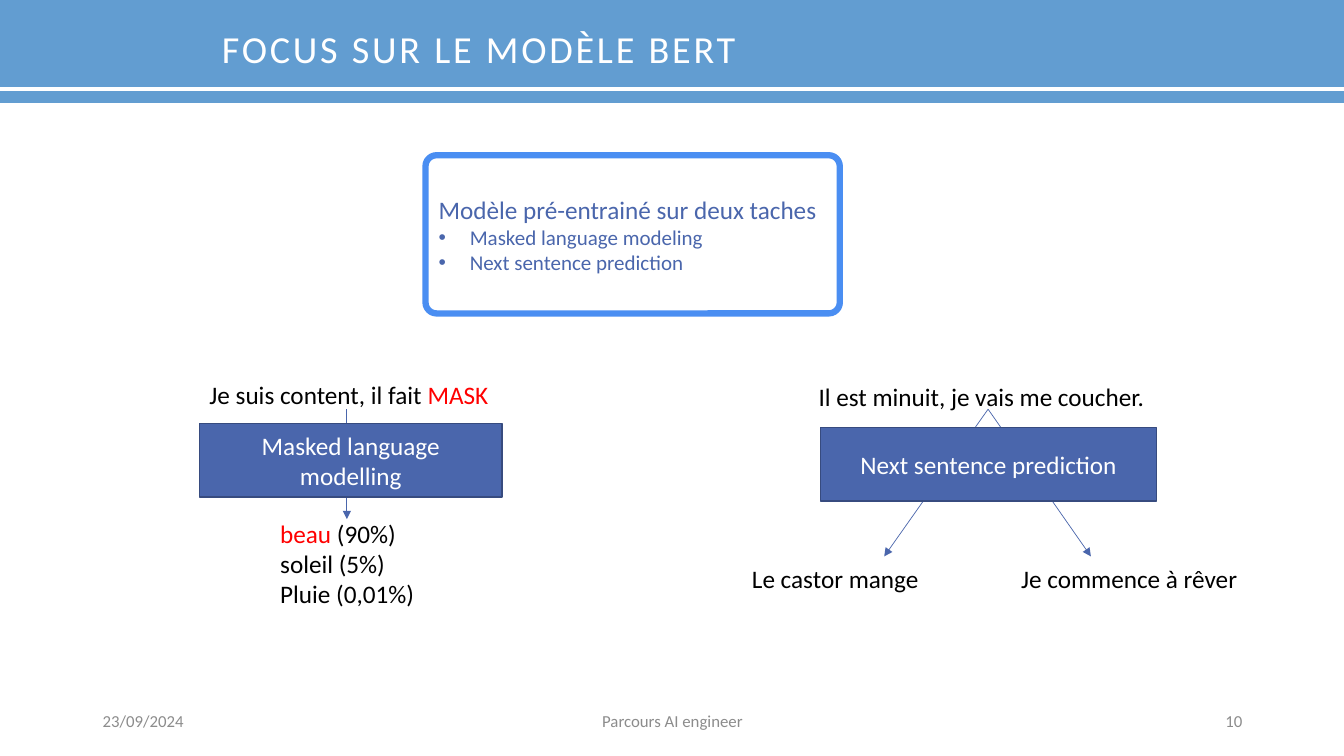
"""Build the slide on the two pre-training tasks of the BERT model."""
from lxml.etree import SubElement
from pptx import Presentation
from pptx.dml.color import RGBColor
from pptx.enum.shapes import MSO_CONNECTOR, MSO_SHAPE
from pptx.enum.text import MSO_ANCHOR, MSO_AUTO_SIZE, PP_ALIGN
from pptx.oxml.ns import qn
from pptx.util import Emu, Inches, Pt

COLORS = {name: RGBColor.from_string(value) for name, value in {
    "bar": "629DD1", "frame": "4A8EF2", "task": "4A66AC", "edge": "374B7F",
    "ink": "000000", "mask": "FF0000", "footer": "8C8C8C", "white": "FFFFFF",
}.items()}

deck = Presentation()
deck.slide_width, deck.slide_height = Inches(13.33), Inches(7.5)
page = deck.slides.add_slide(deck.slide_layouts[1])
COLUMN, ROW = deck.slide_width / 100, deck.slide_height / 100


def grid(*cells):
    """Turn alternating columns and rows of a 100 by 100 grid into lengths."""
    return [Emu(round(cell * (ROW if index % 2 else COLUMN)))
            for index, cell in enumerate(cells)]


def write(para, text, size=18, color="ink", align=PP_ALIGN.LEFT, spacing=None):
    """Add a formatted run to a paragraph."""
    para.alignment = align
    para.space_before = Pt(0)
    span = para.add_run()
    span.text = text
    span.font.size = Pt(size)
    span.font.name = "Calibri"
    span.font.color.rgb = COLORS[color]
    if spacing:
        span.font._element.set("spc", str(spacing * 100))


title = page.shapes.title
title.left, title.top, title.width, title.height = grid(0, 0, 100, 13.6)
title.fill.solid()
title.fill.fore_color.rgb = COLORS["bar"]
title.text_frame.auto_size = MSO_AUTO_SIZE.NONE
title.text_frame.vertical_anchor = MSO_ANCHOR.MIDDLE
title.text_frame.margin_left = Inches(2.2)
title.text_frame.paragraphs[0].line_spacing = 0.9
write(title.text_frame.paragraphs[0], "FOCUS SUR LE MODÈLE BERT", size=27.3,
      color="white", spacing=2)

body = page.placeholders[1]
body.left, body.top, body.width, body.height = grid(31.88, 25.04, 30.3, 14.67)
body.text_frame.auto_size = MSO_AUTO_SIZE.NONE
for index, (text, size) in enumerate([
        ("Modèle pré-entrainé sur deux taches", 18),
        ("Masked language modeling", 15),
        ("Next sentence prediction", 15)]):
    para = body.text_frame.add_paragraph() if index else body.text_frame.paragraphs[0]
    properties = para._p.get_or_add_pPr()
    indent = Inches(0.31) if index else 0
    properties.set("marL", str(indent))
    properties.set("indent", str(-indent))
    if index:
        SubElement(properties, qn("a:buFont"), typeface="Arial")
        SubElement(properties, qn("a:buChar"), char="•")
    else:
        SubElement(properties, qn("a:buNone"))
    write(para, text, size=size, color="task")

frame = page.shapes.add_shape(MSO_SHAPE.ROUNDED_RECTANGLE,
                              *grid(31.66, 20.53, 30.83, 20.93))
frame.adjustments[0] = 0.07
frame.shadow.inherit = False
frame.fill.background()
frame.line.color.rgb = COLORS["frame"]
frame.line.width = Pt(4.5)

for ends, color, width, arrow in [
        ((0, 11.73, 100, 11.73), "white", 3, False),
        ((25.81, 54.13, 25.81, 68.67), "task", 0.5, True),
        ((73.52, 54.13, 65.79, 73.6), "task", 0.5, True),
        ((73.52, 54.13, 81.17, 73.6), "task", 0.5, True)]:
    line = page.shapes.add_connector(MSO_CONNECTOR.STRAIGHT, *grid(*ends))
    line.line.color.rgb = COLORS[color]
    line.line.width = Pt(width)
    if arrow:
        SubElement(line.line._get_or_add_ln(), qn("a:tailEnd"), type="triangle")
    SubElement(line._element.spPr, qn("a:effectLst"))

for text, area in [
        ("Masked language modelling", (14.85, 56, 22.5, 9.73)),
        ("Next sentence prediction", (61.07, 56.53, 24.98, 9.73))]:
    task = page.shapes.add_shape(MSO_SHAPE.RECTANGLE, *grid(*area))
    task.shadow.inherit = False
    task.fill.solid()
    task.fill.fore_color.rgb = COLORS["task"]
    task.line.color.rgb = COLORS["edge"]
    task.line.width = Pt(1)
    task.text_frame.word_wrap = True
    task.text_frame.vertical_anchor = MSO_ANCHOR.MIDDLE
    write(task.text_frame.paragraphs[0], text, color="white", align=PP_ALIGN.CENTER)

for area, lines in [
        ((14.85, 49.47, 22.5, 5.33),
         [[("Je suis content, il fait ", "ink"), ("MASK", "mask")]]),
        ((20.11, 67.87, 11.63, 13.47),
         [[("beau", "mask"), (" (90%)", "ink")],
          [("soleil (5%)", "ink")],
          [("Pluie (0,01%)", "ink")]]),
        ((60.17, 49.73, 28.88, 5.33), [[("Il est minuit, je vais me coucher.", "ink")]]),
        ((55.21, 73.87, 15.68, 5.33), [[("Le castor mange", "ink")]]),
        ((75.24, 73.87, 17.78, 5.33), [[("Je commence à rêver", "ink")]])]:
    box = page.shapes.add_textbox(*grid(*area))
    box.text_frame.word_wrap = False
    for index, spans in enumerate(lines):
        para = box.text_frame.add_paragraph() if index else box.text_frame.paragraphs[0]
        for text, color in spans:
            write(para, text, color=color)

for text, left, width, align in [
        ("23/09/2024", 6.9, 22.5, PP_ALIGN.LEFT),
        ("Parcours AI engineer", 33.16, 33.76, PP_ALIGN.CENTER),
        ("10", 70.67, 22.5, PP_ALIGN.RIGHT)]:
    box = page.shapes.add_textbox(*grid(left, 92.67, width, 5.33))
    box.text_frame.word_wrap = True
    box.text_frame.vertical_anchor = MSO_ANCHOR.MIDDLE
    write(box.text_frame.paragraphs[0], text, size=12, color="footer", align=align)

deck.save("out.pptx")
